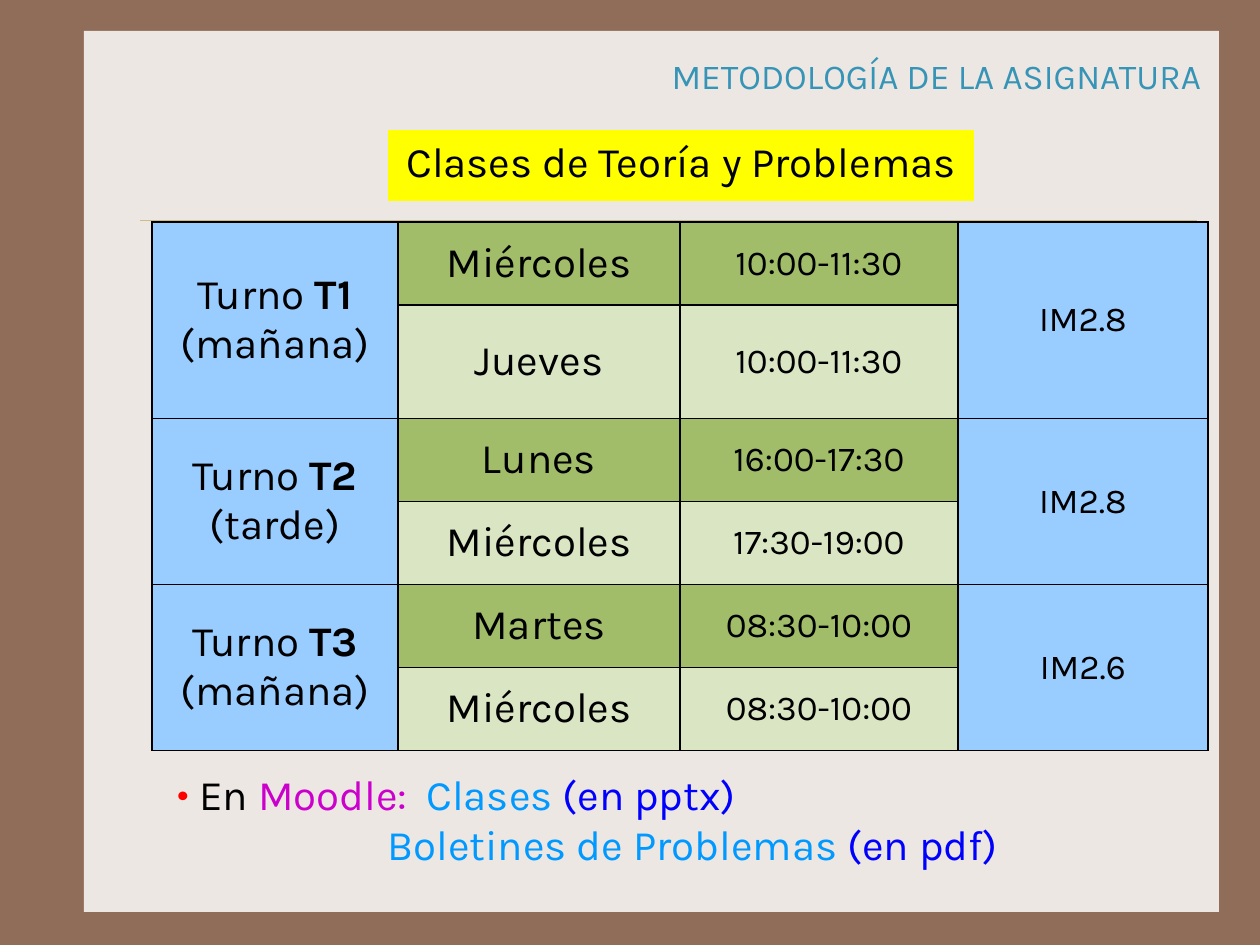
from lxml.etree import SubElement
from pptx import Presentation
from pptx.dml.color import RGBColor
from pptx.enum.shapes import MSO_CONNECTOR, MSO_SHAPE
from pptx.enum.text import MSO_ANCHOR, MSO_AUTO_SIZE, PP_ALIGN
from pptx.oxml.ns import qn
from pptx.util import Emu, Pt

# Content
TITLE = "METODOLOGÍA DE LA ASIGNATURA"
HEADING = "Clases de Teoría y Problemas"
SHIFTS = [  # shift, part of day, room, sessions
    ("T1", "mañana", "IM2.8", [("Miércoles", "10:00-11:30"), ("Jueves", "10:00-11:30")]),
    ("T2", "tarde", "IM2.8", [("Lunes", "16:00-17:30"), ("Miércoles", "17:30-19:00")]),
    ("T3", "mañana", "IM2.6", [("Martes", "08:30-10:00"), ("Miércoles", "08:30-10:00")]),
]
MOODLE = [("En ", "black"), ("Moodle:\t", "magenta"), ("Clases ", "sky"), ("(en pptx)", "blue")]
BULLETINS = [("Boletines de Problemas ", "sky"), ("(en pdf)", "blue")]

COLORS = {
    "frame": "906D58", "paper": "EDE7E3", "rule": "CBBD83", "title": "3694B6",
    "yellow": "FFFF00", "black": "000000", "shift": "99CCFF", "first": "A1BD69",
    "second": "D9E5C3", "red": "FF0000", "magenta": "CC00CC", "sky": "0099FF",
    "blue": "0000FF",
}
FONT = "Karla"
COLUMNS = [246, 282, 278, 250]
ROWS = [83, 113, 83, 83, 83, 83]
BORDER_SIDES = ("a:lnL", "a:lnR", "a:lnT", "a:lnB")


def px(n):
    return Emu(round(n * 914400 / 126))


def rgb(name):
    return RGBColor.from_string(COLORS[name])


def style(paragraph, size, color="black", align=PP_ALIGN.CENTER):
    paragraph.alignment = align
    paragraph.font.name = FONT
    paragraph.font.size = Pt(size)
    paragraph.font.color.rgb = rgb(color)


def add_runs(paragraph, runs):
    for text, color in runs:
        run = paragraph.add_run()
        run.text = text
        run.font.color.rgb = rgb(color)


def add_box(slide, x, y, w, h, fill):
    box = slide.shapes.add_shape(MSO_SHAPE.RECTANGLE, px(x), px(y), px(w), px(h))
    box.shadow.inherit = False
    box.fill.solid()
    box.fill.fore_color.rgb = rgb(fill)
    box.line.fill.background()
    return box


def fill_cell(cell, fill):
    cell.fill.solid()
    cell.fill.fore_color.rgb = rgb(fill)
    cell.vertical_anchor = MSO_ANCHOR.MIDDLE
    props = cell._tc.get_or_add_tcPr()
    for position, side in enumerate(BORDER_SIDES):
        line = props.makeelement(qn(side), {"w": str(Pt(1))})
        solid = SubElement(line, qn("a:solidFill"))
        SubElement(solid, qn("a:srgbClr"), val=COLORS["black"])
        props.insert(position, line)


def write_cell(cell, text, size):
    paragraph = cell.text_frame.paragraphs[0]
    paragraph.text = text
    style(paragraph, size)
    return paragraph


prs = Presentation()
prs.slide_width, prs.slide_height = px(1260), px(945)
slide = prs.slides.add_slide(prs.slide_layouts[6])

# Background, paper and rule
slide.background.fill.solid()
slide.background.fill.fore_color.rgb = rgb("frame")
add_box(slide, 84, 31, 1135, 881, "paper")
rule = slide.shapes.add_connector(MSO_CONNECTOR.STRAIGHT, px(140), px(220), px(1197), px(220))
rule.line.color.rgb = rgb("rule")
rule.line.width = Pt(0.25)
SubElement(rule._element.spPr, qn("a:effectLst"))

# Title
title = slide.shapes.add_textbox(px(656), px(48), px(561), px(54)).text_frame
title.word_wrap = False
title.auto_size = MSO_AUTO_SIZE.SHAPE_TO_FIT_TEXT
title.text = TITLE
style(title.paragraphs[0], 20, "title")

# Heading
heading = add_box(slide, 388, 130, 586, 71, "yellow").text_frame
heading.word_wrap = True
heading.vertical_anchor = MSO_ANCHOR.MIDDLE
heading.margin_left = heading.margin_right = px(15)
heading.margin_top = heading.margin_bottom = px(15)
heading.text = HEADING
style(heading.paragraphs[0], 24)
heading.paragraphs[0].line_spacing = 0.8

# Timetable: two rows per shift
timetable = slide.shapes.add_table(
    len(ROWS), len(COLUMNS), px(152), px(222), px(sum(COLUMNS)), px(sum(ROWS))).table
timetable.first_row = timetable.horz_banding = False
for column, width in zip(timetable.columns, COLUMNS):
    column.width = px(width)
for row, height in zip(timetable.rows, ROWS):
    row.height = px(height)

for i, (shift, part, room, sessions) in enumerate(SHIFTS):
    top = 2 * i
    for row, (session, fill) in enumerate(zip(sessions, ("first", "second")), top):
        for col, cell_fill in enumerate(("shift", fill, fill, "shift")):
            fill_cell(timetable.cell(row, col), cell_fill)
        for col, (text, size) in enumerate(zip(session, (24, 20)), 1):
            write_cell(timetable.cell(row, col), text, size)
    for col in (0, 3):
        timetable.cell(top, col).merge(timetable.cell(top + 1, col))
    label = write_cell(timetable.cell(top, 0), "Turno ", 24)
    for text, bold in ((shift, True), (f" ({part})", False)):
        run = label.add_run()
        run.text = text
        run.font.bold = bold
    write_cell(timetable.cell(top, 3), room, 20)

# Course material
material = slide.shapes.add_textbox(px(165), px(762), px(942), px(115)).text_frame
material.word_wrap = True
material.auto_size = MSO_AUTO_SIZE.SHAPE_TO_FIT_TEXT
moodle, bulletins = material.paragraphs[0], material.add_paragraph()

props = moodle._p.get_or_add_pPr()
props.set("marL", str(px(22)))
props.set("indent", str(-px(22)))
bullet_color = SubElement(props, qn("a:buClr"))
SubElement(bullet_color, qn("a:srgbClr"), val=COLORS["red"])
SubElement(props, qn("a:buFont"), typeface=FONT)
SubElement(props, qn("a:buChar"), char="•")
tabs = SubElement(props, qn("a:tabLst"))
SubElement(tabs, qn("a:tab"), pos=str(px(249)), algn="l")
bulletins._p.get_or_add_pPr().set("marL", str(px(210)))

for paragraph, runs in ((moodle, MOODLE), (bulletins, BULLETINS)):
    style(paragraph, 24, align=PP_ALIGN.JUSTIFY)
    add_runs(paragraph, runs)

prs.save("out.pptx")
